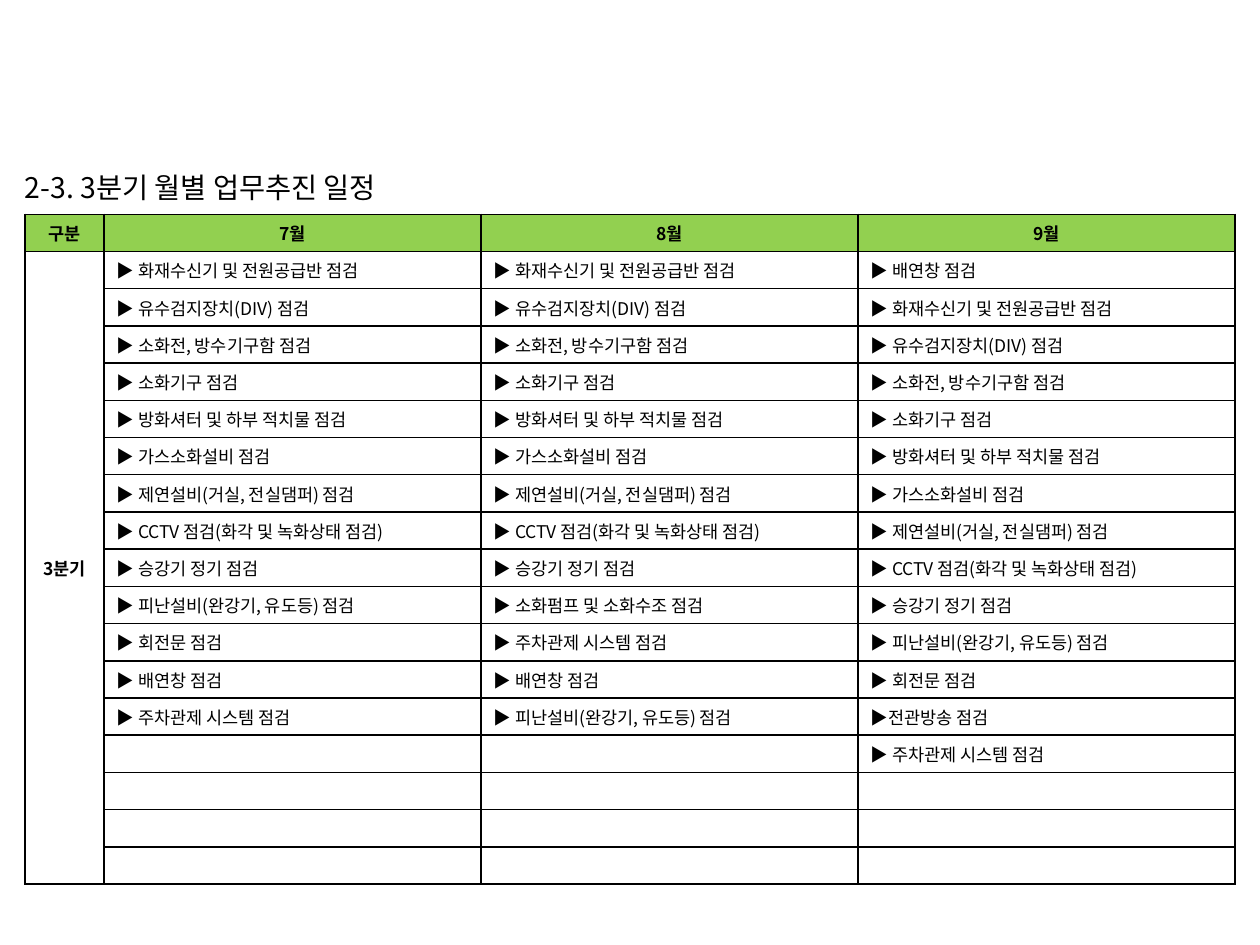
from dataclasses import dataclass

from lxml import etree
from pptx import Presentation
from pptx import util as u
from pptx.dml.color import RGBColor
from pptx.enum import text
from pptx.oxml.ns import qn


@dataclass(frozen=True)
class Theme:
    font: str = "Noto Sans CJK KR"
    ink: str = "000000"
    header: str = "92D050"
    title_size: float = 16.2
    cell_size: float = 10
    border: float = 1


@dataclass(frozen=True)
class Month:
    name: str
    tasks: list[str]


THEME = Theme()
TASK_ROWS = 17
ROW_HEIGHT = u.Cm(0.75)
LABEL_WIDTH = u.Cm(1.6)
MONTH_WIDTH = u.Cm(7.6)

RECEIVER = "▶ 화재수신기 및 전원공급반 점검"
VENT = "▶ 배연창 점검"
ELEVATOR = "▶ 승강기 정기 점검"
ESCAPE = "▶ 피난설비(완강기, 유도등) 점검"
DOOR = "▶ 회전문 점검"
PARKING = "▶ 주차관제 시스템 점검"
COMMON = [
    RECEIVER,
    "▶ 유수검지장치(DIV) 점검",
    "▶ 소화전, 방수기구함 점검",
    "▶ 소화기구 점검",
    "▶ 방화셔터 및 하부 적치물 점검",
    "▶ 가스소화설비 점검",
    "▶ 제연설비(거실, 전실댐퍼) 점검",
    "▶ CCTV 점검(화각 및 녹화상태 점검)",
    ELEVATOR,
]
MONTHS = [
    Month("7월", [*COMMON, ESCAPE, DOOR, VENT, PARKING]),
    Month("8월", [*COMMON, "▶ 소화펌프 및 소화수조 점검", PARKING, VENT, ESCAPE]),
    Month("9월", [VENT, *COMMON, ESCAPE, DOOR, "▶전관방송 점검", PARKING]),
]


def style_paragraph(p, size: float, bold: bool = False) -> None:
    p.font.size = u.Pt(size)
    p.font.bold = bold
    p.font.name = THEME.font
    p.font.color.rgb = RGBColor.from_string(THEME.ink)
    latin = p._p.find(".//" + qn("a:latin"))
    east_asian = etree.Element(qn("a:ea"), typeface=THEME.font)
    latin.addnext(east_asian)
    if not p.text:
        etree.SubElement(p._p, qn("a:endParaRPr"), sz=str(int(size * 100)))


def set_borders(cell) -> None:
    tc_pr = cell._tc.get_or_add_tcPr()
    for i, side in enumerate(("lnL", "lnR", "lnT", "lnB")):
        ln = etree.Element(qn(f"a:{side}"), w=str(u.Pt(THEME.border)))
        fill = etree.SubElement(ln, qn("a:solidFill"))
        etree.SubElement(fill, qn("a:srgbClr"), val=THEME.ink)
        tc_pr.insert(i, ln)


def fill_cell(cell, value: str, label: bool = False, color: str = "") -> None:
    cell.text = value
    cell.vertical_anchor = text.MSO_ANCHOR.MIDDLE
    p = cell.text_frame.paragraphs[0]
    if label:
        p.alignment = text.PP_ALIGN.CENTER
    style_paragraph(p, THEME.cell_size, bold=label)
    if color:
        cell.fill.solid()
        cell.fill.fore_color.rgb = RGBColor.from_string(color)
    else:
        cell.fill.background()
    set_borders(cell)


def add_title(s, value: str) -> None:
    sp = s.shapes.add_textbox(u.Cm(0), u.Cm(3.38), u.Cm(23.5), u.Cm(0.79))
    tf = sp.text_frame
    tf.word_wrap = True
    tf.vertical_anchor = text.MSO_ANCHOR.MIDDLE
    tf.margin_left = u.Cm(0.5)
    tf.margin_right = tf.margin_top = tf.margin_bottom = 0
    p = tf.paragraphs[0]
    p.text = value
    style_paragraph(p, THEME.title_size)


def add_schedule(s, quarter: str, months: list[Month]) -> None:
    rows = TASK_ROWS + 1
    width = LABEL_WIDTH + MONTH_WIDTH * len(months)
    table = s.shapes.add_table(
        rows, len(months) + 1, u.Cm(0.5), u.Cm(4.32), width, ROW_HEIGHT * rows
    ).table
    for row in table.rows:
        row.height = ROW_HEIGHT
    table.columns[0].width = LABEL_WIDTH
    fill_cell(table.cell(0, 0), "구분", label=True, color=THEME.header)
    for r in range(1, rows):
        fill_cell(table.cell(r, 0), quarter if r == 1 else "", label=True)
    table.cell(1, 0).merge(table.cell(TASK_ROWS, 0))
    for c, month in enumerate(months, 1):
        table.columns[c].width = MONTH_WIDTH
        fill_cell(table.cell(0, c), month.name, label=True, color=THEME.header)
        for r in range(1, rows):
            task = month.tasks[r - 1] if r <= len(month.tasks) else ""
            fill_cell(table.cell(r, c), task)


def main() -> None:
    prs = Presentation()
    prs.slide_width, prs.slide_height = u.Cm(25.4), u.Cm(19.05)
    s = prs.slides.add_slide(prs.slide_layouts[6])
    add_title(s, "2-3. 3분기 월별 업무추진 일정")
    add_schedule(s, "3분기", MONTHS)
    prs.save("out.pptx")


if __name__ == "__main__":
    main()
